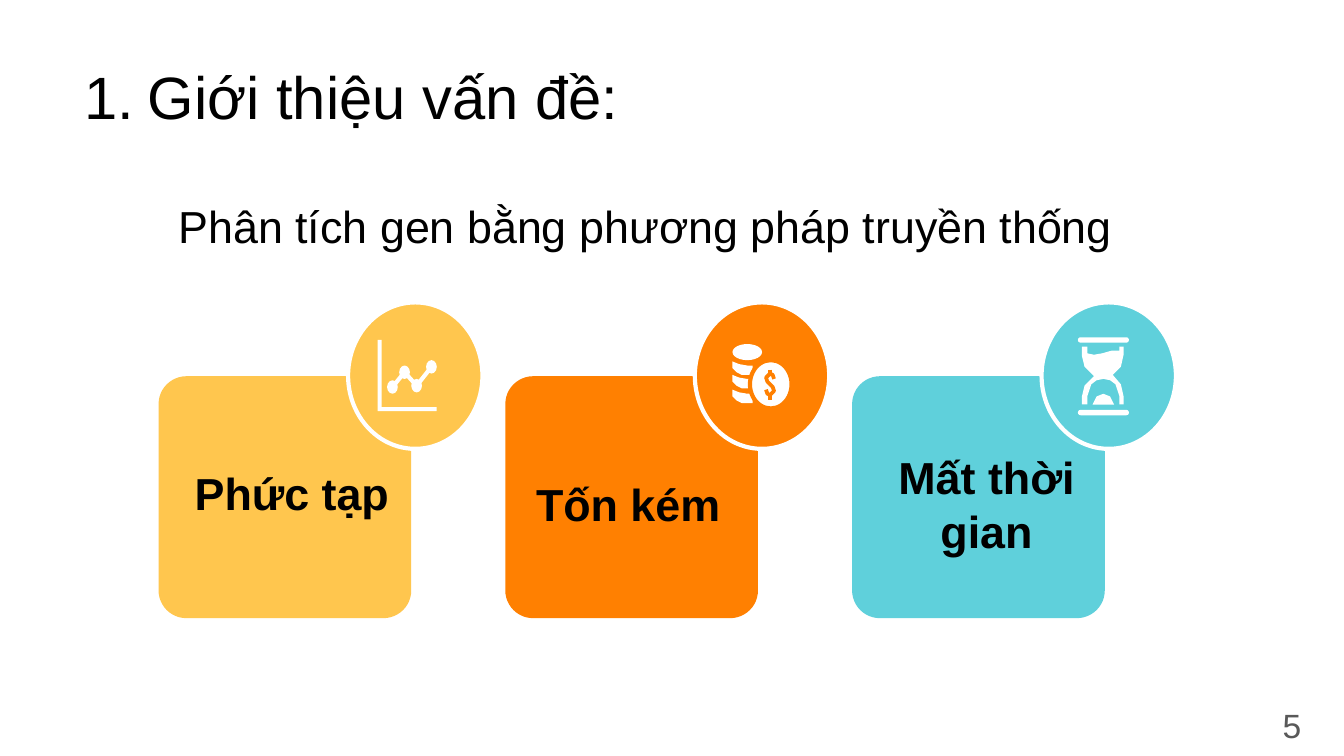
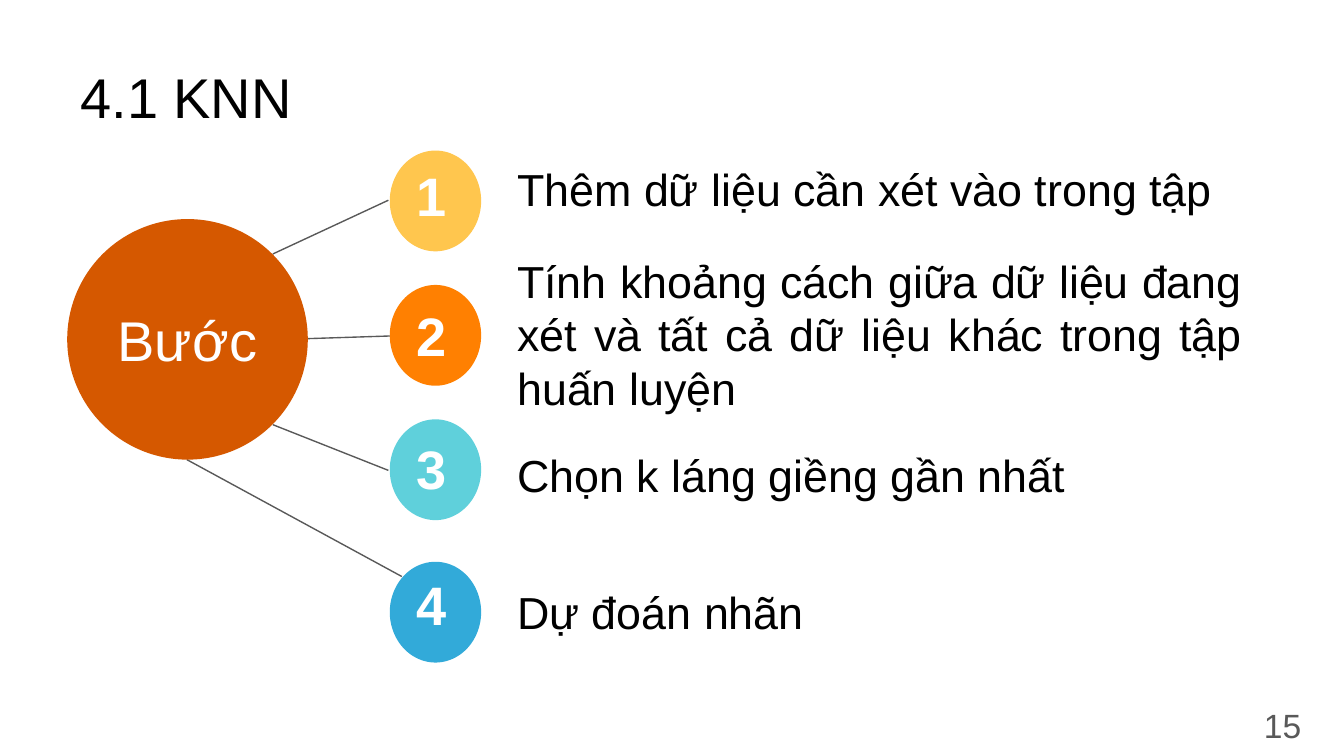
from lxml import etree
from pptx import Presentation
from pptx import util as u
from pptx.dml.color import RGBColor
from pptx.enum import shapes, text
from pptx.oxml import ns

WHITE = RGBColor(0xFF, 0xFF, 0xFF)
BLACK = RGBColor(0x00, 0x00, 0x00)
GREY = RGBColor(0x59, 0x59, 0x59)
YELLOW = RGBColor(0xFF, 0xC6, 0x4E)
ORANGE = RGBColor(0xFF, 0x80, 0x01)
TEAL = RGBColor(0x5F, 0xD0, 0xDB)
BLUE = RGBColor(0x32, 0xAA, 0xD9)
RUST = RGBColor(0xD5, 0x58, 0x00)
FONT = "Arial"
OVAL = shapes.MSO_SHAPE.OVAL
ROUNDED = shapes.MSO_SHAPE.ROUNDED_RECTANGLE
LEFT, CENTER, RIGHT, JUSTIFY = (text.PP_ALIGN.LEFT, text.PP_ALIGN.CENTER,
                                text.PP_ALIGN.RIGHT, text.PP_ALIGN.JUSTIFY)
TOP, MIDDLE = text.MSO_ANCHOR.TOP, text.MSO_ANCHOR.MIDDLE


def add_text(slide, box, words, size, color=BLACK, bold=False, align=LEFT,
             anchor=MIDDLE, inset=0.1):
    shape = slide.shapes.add_textbox(*map(u.Inches, box))
    frame = shape.text_frame
    frame.word_wrap = True
    frame.vertical_anchor = anchor
    frame.margin_left = frame.margin_right = u.Inches(0.1)
    frame.margin_top = frame.margin_bottom = u.Inches(inset)
    paragraph = frame.paragraphs[0]
    paragraph.text = words
    paragraph.alignment = align
    paragraph.font.name = FONT
    paragraph.font.size = u.Pt(size)
    paragraph.font.bold = bold
    paragraph.font.color.rgb = color
    return paragraph


def paint(shape, fill=None, line=None, width=0.75):
    shape.shadow.inherit = False
    if fill is None:
        shape.fill.background()
    else:
        shape.fill.solid()
        shape.fill.fore_color.rgb = fill
    if line is None:
        shape.line.fill.background()
    else:
        shape.line.color.rgb = line
        shape.line.width = u.Pt(width)


# Widescreen, 16 to 9
presentation = Presentation()
presentation.slide_width = u.Inches(10)
presentation.slide_height = u.Inches(10 * 9 / 16)

# Shared title and page number
slides, titles = [], []
for title, size, number in [("Giới thiệu vấn đề:", 32, "5"), ("4.1 KNN", 30, "15")]:
    slide = presentation.slides.add_slide(presentation.slide_layouts[6])
    titles.append(add_text(slide, (0.5, 0.45, 9, 0.53), title, size))
    add_text(slide, (9.18, 5.18, 0.6, 0.43), number, 18, GREY, align=RIGHT)
    slides.append(slide)
problem_slide, knn_slide = slides

# Slide 1: numbered title and subtitle
properties = titles[0]._p.get_or_add_pPr()
properties.set("marL", str(u.Inches(0.5)))
properties.set("indent", str(u.Inches(-0.47)))
numbering = etree.Element(ns.qn("a:buAutoNum"), type="arabicPeriod")
properties.insert(0, numbering)
add_text(problem_slide, (1.23, 1.38, 7.54, 0.61),
         "Phân tích gen bằng phương pháp truyền thống", 24, anchor=TOP)

# Cards with a badge on the upper right corner
cards = [
    ("Phức tạp", YELLOW, (1.35, 3.32, 1.71, 0.69), LEFT),
    ("Tốn kém", ORANGE, (3.89, 3.32, 1.71, 0.86), LEFT),
    ("Mất thời gian", TEAL, (6.4, 3.32, 1.88, 0.86), CENTER),
]
for index, (label, color, box, align) in enumerate(cards):
    left = 1.18 + 2.58 * index
    card = problem_slide.shapes.add_shape(
        ROUNDED, u.Inches(left), u.Inches(2.8), u.Inches(1.88), u.Inches(1.8))
    card.adjustments[0] = 0.115
    paint(card, color)
    badge = problem_slide.shapes.add_shape(
        OVAL, u.Inches(left + 1.41), u.Inches(2.25), u.Inches(1), u.Inches(1.09))
    paint(badge, color, WHITE, 2.25)
    add_text(problem_slide, box, label, 24, bold=True, align=align, inset=0.05)

# Icon outlines: points, closed, fill, line, line width
chart_dots = [(2.92, 2.88), (3.01, 2.77), (3.1, 2.87), (3.21, 2.73)]
glass = [
    (8.05, 2.58), (8.05, 2.65), (8.07, 2.73), (8.14, 2.8), (8.07, 2.87),
    (8.05, 2.95), (8.05, 3.01), (8.09, 3.01), (8.09, 2.95), (8.12, 2.86),
    (8.16, 2.83), (8.21, 2.82), (8.26, 2.83), (8.3, 2.86), (8.33, 2.95),
    (8.33, 3.01), (8.36, 3.01), (8.36, 2.95), (8.34, 2.86), (8.28, 2.79),
    (8.34, 2.73), (8.36, 2.64), (8.36, 2.58), (8.33, 2.58), (8.33, 2.61),
    (8.27, 2.61), (8.2, 2.63), (8.14, 2.64), (8.09, 2.63), (8.09, 2.58),
]
sand = [(8.13, 3.01), (8.16, 2.95), (8.21, 2.93), (8.26, 2.95), (8.29, 3.01)]
axes = [(2.81, 2.53), (2.84, 2.53), (2.84, 3.03), (3.25, 3.03), (3.25, 3.06),
        (2.81, 3.06)]
coin_band = [(0, 0), (0, 0.05), (0.03, 0.08), (0.07, 0.1), (0.15, 0.1),
             (0.15, 0.03), (0.11, 0.03), (0.05, 0.02)]
dollar = [(5.76, 2.82), (5.75, 2.79), (5.73, 2.78), (5.7, 2.81), (5.71, 2.84),
          (5.75, 2.88), (5.76, 2.91), (5.73, 2.94), (5.71, 2.93), (5.7, 2.9)]
outlines = [(points, True, WHITE, None, 0) for points in (axes, glass, sand)]
outlines.append((chart_dots, False, None, WHITE, 2.25))
for top in (2.69, 2.79, 2.9):
    band = [(5.45 + x, top + y) for x, y in coin_band]
    outlines.append((band, True, WHITE, None, 0))

# Round parts of the icons: kind, box, line
round_parts = [(OVAL, (x - 0.04, y - 0.05, 0.08, 0.1), None) for x, y in chart_dots]
round_parts += [(ROUNDED, (8.02, top, 0.38, 0.04), None) for top in (2.51, 3.05)]
round_parts += [(OVAL, (5.45, 2.56, 0.22, 0.12), None),
                (OVAL, (5.58, 2.68, 0.31, 0.36), ORANGE)]

dollar_strokes = [(dollar, False, None, ORANGE, 2)]
dollar_strokes += [([(5.73, y), (5.73, y + 0.04)], False, None, ORANGE, 2)
                   for y in (2.75, 2.94)]

# The dollar sign lies on top of the coin
for layer, parts in ((outlines, round_parts), (dollar_strokes, [])):
    for points, closed, fill, line, width in layer:
        corners = [(u.Inches(x), u.Inches(y)) for x, y in points]
        builder = problem_slide.shapes.build_freeform(*corners[0])
        builder.add_line_segments(corners[1:], close=closed)
        paint(builder.convert_to_shape(), fill, line, width)
    for kind, box, line in parts:
        part = problem_slide.shapes.add_shape(kind, *map(u.Inches, box))
        if kind == ROUNDED:
            part.adjustments[0] = 0.5
        paint(part, WHITE, line, 2.25)

# Slide 2: lines from the hub to the steps
links = [((2.03, 1.89), (2.89, 1.49)), ((2.29, 2.52), (2.9, 2.5)),
         ((2.03, 3.16), (2.89, 3.5)), ((1.39, 3.42), (2.99, 4.29))]
for start, end in links:
    link = knn_slide.shapes.add_connector(
        shapes.MSO_CONNECTOR.STRAIGHT, *map(u.Inches, start + end))
    link.line.color.rgb = GREY
    link.line.width = u.Pt(0.75)
    etree.SubElement(link._element.spPr, ns.qn("a:effectLst"))

# Hub
hub = knn_slide.shapes.add_shape(
    OVAL, u.Inches(0.5), u.Inches(1.63), u.Inches(1.79), u.Inches(1.79))
paint(hub, RUST)
add_text(knn_slide, (0.73, 2.17, 1.33, 0.71), "Bước", 30, WHITE, align=CENTER, anchor=TOP)

# Steps: colour, circle top, number top, text box, alignment, words
steps = [
    (YELLOW, 1.12, 1.11, (3.75, 1.2, 6.33, 0.41), JUSTIFY,
     "Thêm dữ liệu cần xét vào trong tập"),
    (ORANGE, 2.12, 2.15, (3.75, 2.28, 5.59, 0.41), JUSTIFY,
     "Tính khoảng cách giữa dữ liệu đang xét và tất cả dữ liệu khác "
     "trong tập huấn luyện"),
    (TEAL, 3.12, 3.14, (3.75, 3.29, 6.33, 0.48), LEFT, "Chọn k láng giềng gần nhất"),
    (BLUE, 4.18, 4.15, (3.75, 4.31, 6.33, 0.48), LEFT, "Dự đoán nhãn"),
]
for number, (color, top, number_top, box, align, words) in enumerate(steps, 1):
    circle = knn_slide.shapes.add_shape(
        OVAL, u.Inches(2.9), u.Inches(top), u.Inches(0.68), u.Inches(0.75))
    paint(circle, color)
    add_text(knn_slide, (3, number_top, 0.48, 0.69), str(number), 29, WHITE,
             bold=True, anchor=TOP)
    add_text(knn_slide, box, words, 24, align=align)

presentation.save("out.pptx")
